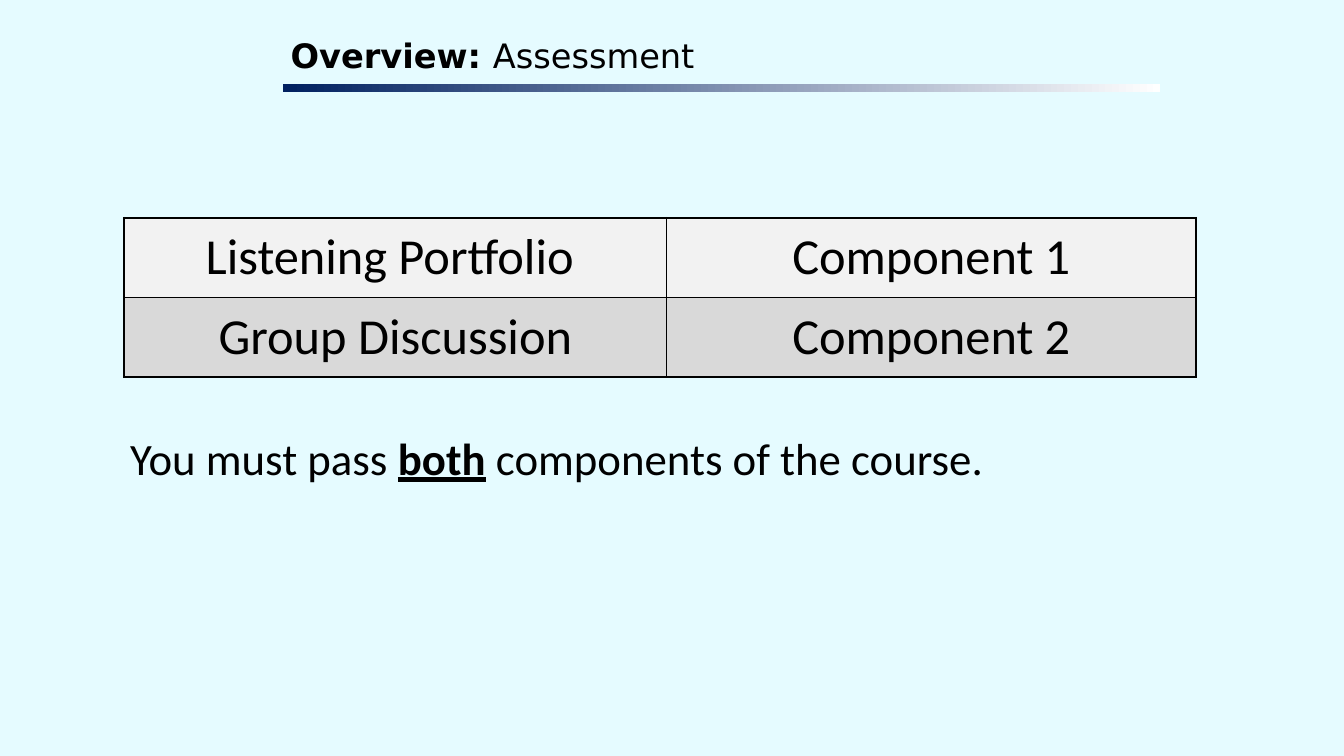
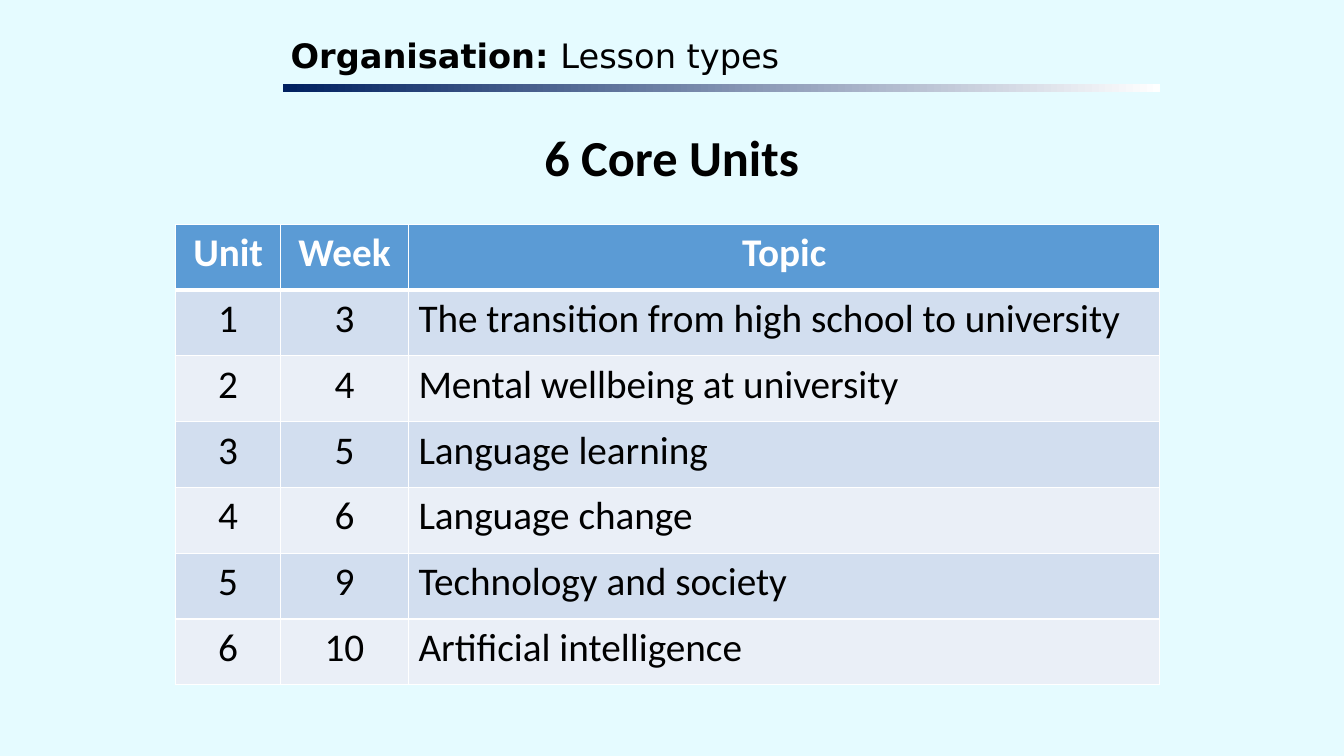
from dataclasses import dataclass
from typing import NamedTuple

from lxml import etree
from pptx import Presentation
from pptx import util as u
from pptx.dml.color import RGBColor
from pptx.enum import shapes, text
from pptx.oxml import ns

# Shared look
WIDTH, HEIGHT = u.Inches(13.33), u.Inches(7.5)
PALE, BLACK, WHITE, NAVY = "E5FBFF", "000000", "FFFFFF", "002060"
HEADER, BAND_DARK, BAND_LIGHT = "5B9BD5", "D2DEEF", "EAEFF7"
GREY_LIGHT, GREY_DARK = "F2F2F2", "D9D9D9"
BODY_FONT, TITLE_FONT = "Calibri", "DejaVu Sans"
LEFT, CENTER = text.PP_ALIGN.LEFT, text.PP_ALIGN.CENTER
MIDDLE, TOP = text.MSO_ANCHOR.MIDDLE, text.MSO_ANCHOR.TOP


class Box(NamedTuple):
    """Left, top, width and height in percent of the slide."""
    x: float
    y: float
    w: float
    h: float

    def emu(self) -> list[int]:
        sides = (WIDTH, HEIGHT, WIDTH, HEIGHT)
        return [round(v / 100 * side) for v, side in zip(self, sides)]


class Run(NamedTuple):
    words: str
    bold: bool = False
    underline: bool = False


@dataclass
class Grid:
    """A table: column shares, row fills and rule widths in points."""
    box: Box
    rows: list[tuple[str, ...]]
    columns: tuple[float, ...]
    aligns: tuple
    fills: list[str]
    h_rules: list[float]
    v_rules: list[float]
    rule_color: str
    size: int
    margins: tuple[float, float]
    anchor: text.MSO_ANCHOR = TOP
    has_header: bool = False


TITLE_BOX = Box(21.33, 4.13, 64.97, 7.07)
BAR_BOX = Box(21.06, 11.12, 65.27, 1.07)


def rgb(color: str) -> RGBColor:
    return RGBColor.from_string(color)


def set_margins(target, side: float, end: float) -> None:
    target.margin_left = target.margin_right = u.Inches(side)
    target.margin_top = target.margin_bottom = u.Inches(end)


def write(tf, *runs: Run, size: int, font: str = BODY_FONT, color: str = BLACK,
          align=LEFT, after: float = 0, spacing: float = 1.0) -> None:
    p = tf.paragraphs[0]
    p.alignment, p.space_after, p.line_spacing = align, u.Pt(after), spacing
    for run in runs:
        r = p.add_run()
        r.text = run.words
        r.font.name, r.font.size = font, u.Pt(size)
        r.font.bold, r.font.underline = run.bold, run.underline
        r.font.color.rgb = rgb(color)


def add_text(s, box: Box, *runs: Run, margins=(0.1, 0.05), **style) -> None:
    tf = s.shapes.add_textbox(*box.emu()).text_frame
    tf.word_wrap = True
    set_margins(tf, *margins)
    write(tf, *runs, **style)


def add_slide(prs, topic: str, subject: str):
    s = prs.slides.add_slide(prs.slide_layouts[6])
    s.background.fill.solid()
    s.background.fill.fore_color.rgb = rgb(PALE)
    add_text(s, TITLE_BOX, Run(f"{topic}: ", bold=True), Run(subject),
             size=24, font=TITLE_FONT, margins=(0.04, 0.04))
    # Bar that fades out under the title
    bar = s.shapes.add_shape(shapes.MSO_SHAPE.RECTANGLE, *BAR_BOX.emu())
    bar.shadow.inherit = False
    bar.line.fill.background()
    bar.fill.gradient()
    bar.fill.gradient_angle = 180
    for stop, color in zip(bar.fill.gradient_stops, (WHITE, NAVY)):
        stop.color.rgb = rgb(color)
    return s


def set_borders(cell, color: str, **widths: float) -> None:
    """Rules for L, R, T and B, which precede the fill in the cell XML."""
    props = cell._tc.get_or_add_tcPr()
    for i, (side, width) in enumerate(widths.items()):
        ln = etree.Element(ns.qn(f"a:ln{side}"), w=str(u.Pt(width)))
        fill = etree.SubElement(ln, ns.qn("a:solidFill"))
        etree.SubElement(fill, ns.qn("a:srgbClr"), val=color)
        props.insert(i, ln)


def add_grid(s, grid: Grid) -> None:
    x, y, w, h = grid.box.emu()
    n_rows, n_cols = len(grid.rows), len(grid.columns)
    table = s.shapes.add_table(n_rows, n_cols, x, y, w, h).table
    table.first_row = table.horz_banding = False
    for column, share in zip(table.columns, grid.columns):
        column.width = round(w * share / sum(grid.columns))
    for i, row in enumerate(grid.rows):
        table.rows[i].height = h // n_rows
        is_header = grid.has_header and i == 0
        for j, words in enumerate(row):
            cell = table.cell(i, j)
            cell.vertical_anchor = grid.anchor
            set_margins(cell, *grid.margins)
            cell.fill.solid()
            cell.fill.fore_color.rgb = rgb(grid.fills[i])
            set_borders(cell, grid.rule_color,
                        L=grid.v_rules[j], R=grid.v_rules[j + 1],
                        T=grid.h_rules[i], B=grid.h_rules[i + 1])
            write(cell.text_frame, Run(words, bold=is_header), size=grid.size,
                  color=WHITE if is_header else BLACK,
                  align=CENTER if is_header else grid.aligns[j],
                  after=0 if is_header else 6)


COMPONENTS = Grid(
    box=Box(9.25, 28.82, 79.74, 21.05),
    rows=[("Listening Portfolio ", "Component 1"),
          ("Group Discussion", "Component 2")],
    columns=(5.38, 5.25), aligns=(CENTER, CENTER),
    fills=[GREY_LIGHT, GREY_DARK],
    h_rules=[1.5] * 3, v_rules=[1.5, 1, 1.5], rule_color=BLACK,
    size=36, margins=(0.07, 0), anchor=MIDDLE)

UNITS = Grid(
    box=Box(13.08, 29.67, 73.22, 60.93),
    rows=[("Unit", "Week", "Topic"),
          ("1", "3", "The transition from high school to university"),
          ("2", "4", "Mental wellbeing at university"),
          ("3", "5", "Language learning"),
          ("4", "6", "Language change"),
          ("5", "9", "Technology and society"),
          ("6", "10", "Artificial intelligence")],
    columns=(1.04, 1.27, 7.46), aligns=(CENTER, CENTER, LEFT),
    fills=[HEADER] + [BAND_DARK, BAND_LIGHT] * 3,
    h_rules=[1, 3] + [1] * 6, v_rules=[1] * 4, rule_color=WHITE,
    size=28, margins=(0.1, 0.05), has_header=True)


def main() -> None:
    prs = Presentation()
    prs.slide_width, prs.slide_height = WIDTH, HEIGHT

    # Assessment
    s = add_slide(prs, "Overview", "Assessment")
    add_grid(s, COMPONENTS)
    add_text(s, Box(3.32, 56.27, 76.22, 8.53), Run("You must pass "),
             Run("both", bold=True, underline=True),
             Run(" components of the course."), size=32, align=CENTER)

    # Lesson types
    s = add_slide(prs, "Organisation", "Lesson types")
    add_text(s, Box(2.72, 16.93, 94.52, 11.73), Run("6 Core Units", bold=True),
             size=36, align=CENTER, spacing=0.9)
    add_grid(s, UNITS)

    prs.save("out.pptx")


if __name__ == "__main__":
    main()
